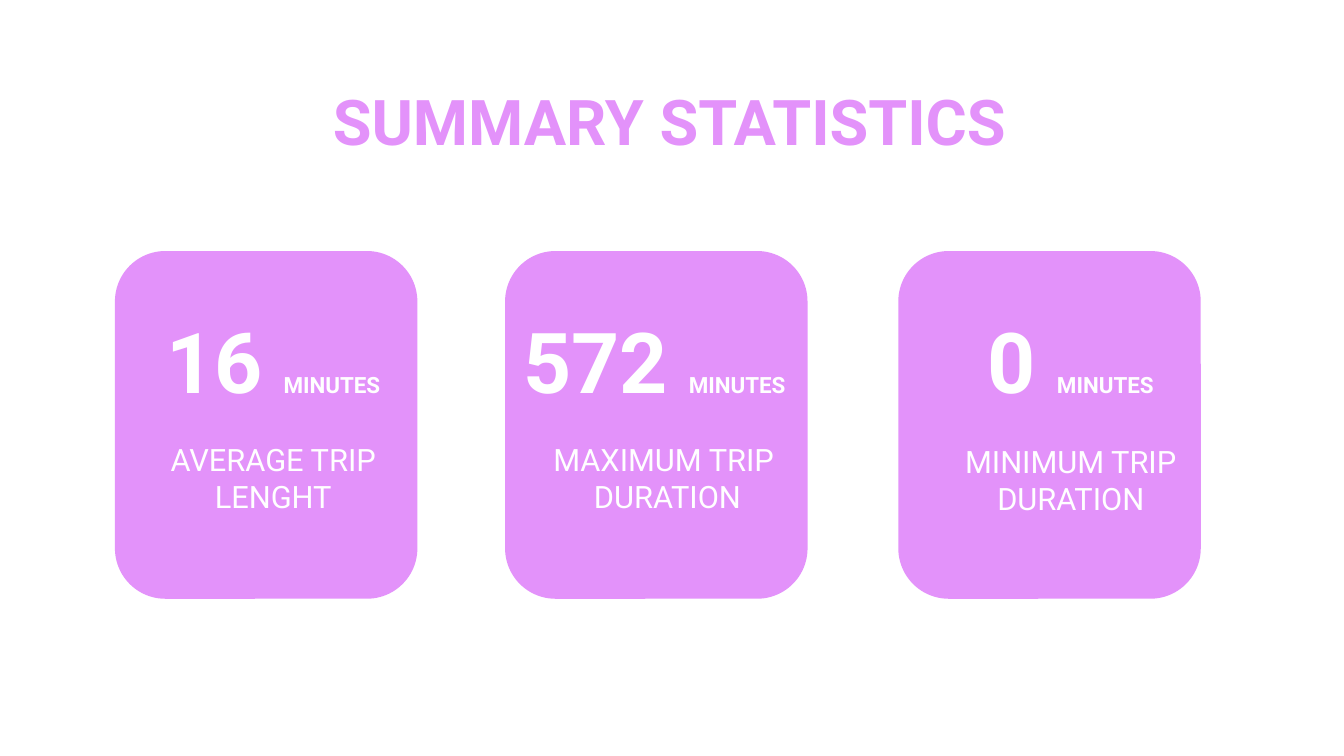
from pptx import Presentation
from pptx.dml.color import RGBColor
from pptx.enum.shapes import MSO_SHAPE
from pptx.enum.text import MSO_ANCHOR, MSO_AUTO_SIZE, PP_ALIGN
from pptx.util import Emu, Pt
from lxml import etree

ROUND = MSO_SHAPE.ROUNDED_RECTANGLE
TOP, BOTTOM = MSO_ANCHOR.TOP, MSO_ANCHOR.BOTTOM
CENTER = PP_ALIGN.CENTER
FIXED = MSO_AUTO_SIZE.NONE
SCALE = 9144
FONT = "Roboto"
PINK, WHITE = "E392FA", "FFFFFF"
BULLET = "{http://schemas.openxmlformats.org/drawingml/2006/main}buNone"
CARD_TOP, CARD_WIDE, CARD_HIGH = 249, 300, 345
TEXT_WIDE = 322

CARDS = [
    (114, -4, -4, 175, "16 ", ["AVERAGE TRIP", "LENGHT"]),
    (501, -13, 0, 175, "572 ", ["MAXIMUM TRIP ", "DURATION"]),
    (891, 10, 10, 177, "0 ", ["MINIMUM TRIP", "DURATION"]),
]


def px(num):
    return Emu(num * SCALE)


def tint(color, code):
    color.rgb = RGBColor.from_string(code)


def place(shape, box):
    shape.left, shape.top, shape.width, shape.height = map(px, box)


def write(shape, lines, anchor=TOP):
    frame = shape.text_frame
    frame.word_wrap = True
    frame.auto_size = FIXED
    frame.vertical_anchor = anchor
    frame.margin_left = frame.margin_right = px(13)
    frame.margin_top = frame.margin_bottom = px(13)
    for i, runs in enumerate(lines):
        para = frame.add_paragraph() if i else frame.paragraphs[0]
        para.alignment = CENTER
        para.line_spacing = 1.0
        para.space_before = para.space_after = Pt(0)
        props = para._p.get_or_add_pPr()
        props.set("marL", "0")
        props.set("indent", "0")
        etree.SubElement(props, BULLET)
        for text, size, bold, code in runs:
            run = para.add_run()
            run.text = text
            run.font.name = FONT
            run.font.size = Pt(size)
            run.font.bold = bold
            tint(run.font.color, code)


def add_title(slide, box):
    title = slide.shapes.title
    place(title, box)
    write(title, [[("SUMMARY STATISTICS", 45, True, PINK)]])


def add_card(slide, body, box, card):
    left, top, wide, high = box
    _, value_dx, label_dx, label_dy, value, label = card
    tile = slide.shapes.add_shape(ROUND, *map(px, box))
    tile.shadow.inherit = False
    tile.fill.solid()
    tint(tile.fill.fore_color, PINK)
    tile.line.fill.background()
    tile.element.getparent().insert(2, tile.element)

    figure = slide.shapes.add_textbox(
        px(left + value_dx), px(top + 41), px(TEXT_WIDE), px(130))
    write(figure, [[(value, 60, True, WHITE), ("MINUTES", 16, True, WHITE)]], BOTTOM)

    place(body, (left + label_dx, top + label_dy, TEXT_WIDE, 101))
    write(body, [[(line, 22, False, WHITE)] for line in label])


def main():
    deck = Presentation()
    deck.slide_width, deck.slide_height = px(1333), px(750)
    slide = deck.slides.add_slide(deck.slide_layouts.get_by_name("Comparison"))
    slide.background.fill.solid()
    tint(slide.background.fill.fore_color, WHITE)
    add_title(slide, (78, 69, 1172, 83))
    holders = {p.placeholder_format.idx: p for p in slide.placeholders}
    for i, card in enumerate(CARDS, 1):
        add_card(slide, holders[i], (card[0], CARD_TOP, CARD_WIDE, CARD_HIGH), card)
    spare = holders[4].element
    spare.getparent().remove(spare)
    deck.save("out.pptx")


if __name__ == "__main__":
    main()
